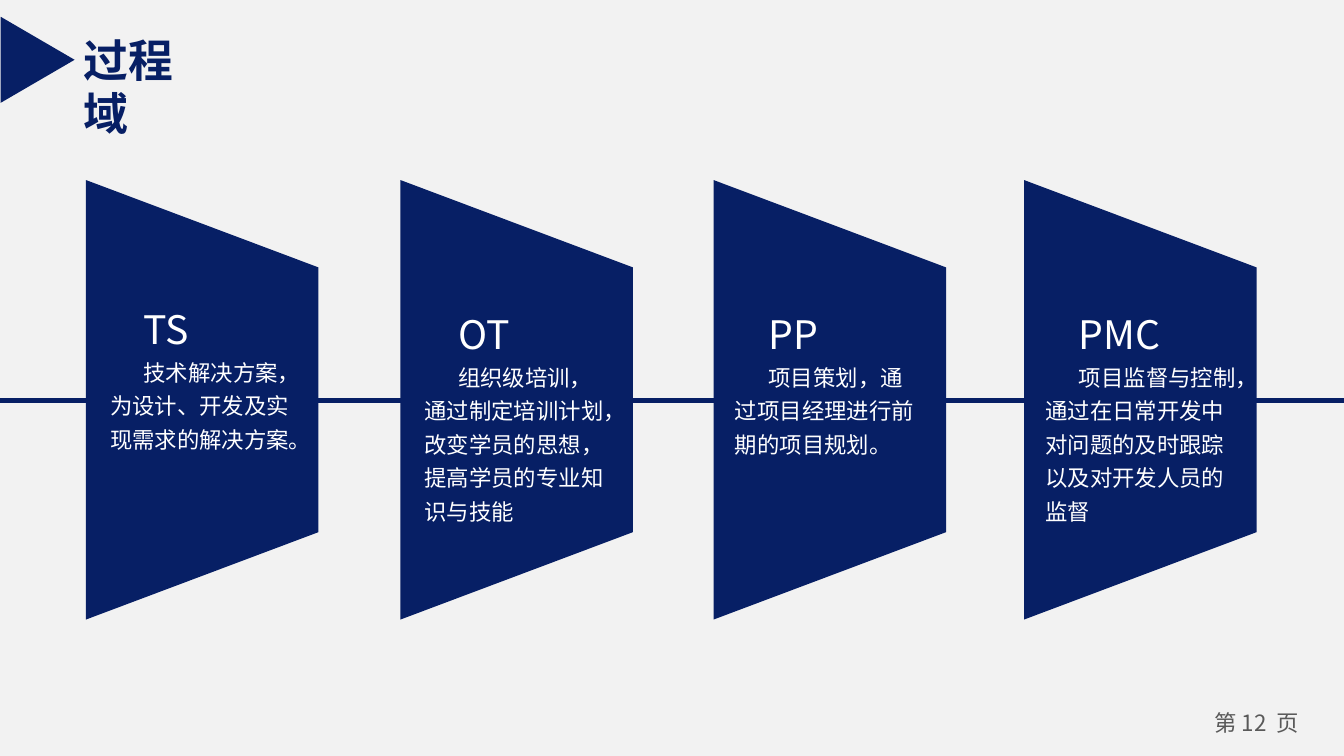
from pptx import Presentation
from pptx.dml.color import RGBColor
from pptx.enum.shapes import MSO_CONNECTOR, MSO_SHAPE
from pptx.enum.text import MSO_ANCHOR, PP_ALIGN
from pptx.oxml.ns import qn
from pptx.util import Inches, Pt
from lxml.etree import SubElement

NAVY = RGBColor(0x07, 0x1F, 0x65)
WHITE = RGBColor(0xFF, 0xFF, 0xFF)
GREY = RGBColor(0x59, 0x59, 0x59)
PALE = RGBColor(0xF2, 0xF2, 0xF2)
BODY_FONT = "Noto Sans CJK SC"

# Content
TITLE = "过程域"
PAGE_LABEL = "第 12  页"
# panel left, text box (left, top, width, height), heading spacing, heading, description
PROCESS_AREAS = [
    (0.64, (0.72, 2.22, 1.58, 1.21), 1.0, "TS",
     "技术解决方案，为设计、开发及实现需求的解决方案。"),
    (2.98, (3.06, 2.17, 1.58, 1.8), 1.25, "OT",
     "组织级培训，通过制定培训计划，改变学员的思想，提高学员的专业知识与技能"),
    (5.31, (5.37, 2.17, 1.61, 1.3), 1.25, "PP",
     "项目策划，通过项目经理进行前期的项目规划。"),
    (7.62, (7.68, 2.17, 1.64, 1.8), 1.25, "PMC",
     "项目监督与控制，通过在日常开发中对问题的及时跟踪以及对开发人员的监督"),
]

# Geometry: a 16:9 slide and four equal panels
SLIDE_WIDTH = Inches(10)
SLIDE_HEIGHT = SLIDE_WIDTH * 9 // 16
PANEL_TOP, PANEL_WIDTH, PANEL_HEIGHT, PANEL_SLANT = 1.34, 1.73, 3.27, 0.65
LINE_Y = Inches(2.98)
FIRST_LINE_INDENT = Inches(0.25)


def place(shape, *box):
    for name, value in zip(("left", "top", "width", "height"), box):
        setattr(shape, name, Inches(value))


def set_margins(frame, horizontal, vertical):
    frame.margin_left = frame.margin_right = Inches(horizontal)
    frame.margin_top = frame.margin_bottom = Inches(vertical)


def write(paragraph, text, typeface, color, size, bold=False):
    run = paragraph.add_run()
    run.text = text
    run.font.color.rgb = color
    for name, value in {"name": typeface, "size": Pt(size), "bold": bold}.items():
        setattr(run.font, name, value)
    SubElement(run.font._element, qn("a:ea")).set("typeface", typeface)


def fill_solid(shape):
    shape.shadow.inherit = False
    shape.fill.solid()
    shape.fill.fore_color.rgb = NAVY
    shape.line.fill.background()


def add_panel(slide, left, text_box, heading_spacing, heading, description):
    group = slide.shapes.add_group_shape()
    right, bottom = left + PANEL_WIDTH, PANEL_TOP + PANEL_HEIGHT
    corners = [(left, PANEL_TOP), (right, PANEL_TOP + PANEL_SLANT),
               (right, bottom - PANEL_SLANT)]
    builder = group.shapes.build_freeform(Inches(left), Inches(bottom))
    builder.add_line_segments([(Inches(x), Inches(y)) for x, y in corners])
    fill_solid(builder.convert_to_shape())

    frame = group.shapes.add_textbox(*map(Inches, text_box)).text_frame
    frame.word_wrap = True
    lines = [(heading, 21, heading_spacing), (description, 12, 1.25)]
    for index, (text, size, spacing) in enumerate(lines):
        paragraph = frame.add_paragraph() if index else frame.paragraphs[0]
        paragraph.line_spacing = spacing
        paragraph._p.get_or_add_pPr().set("indent", str(FIRST_LINE_INDENT))
        write(paragraph, text, BODY_FONT, WHITE, size)


def main():
    presentation = Presentation()
    presentation.slide_width, presentation.slide_height = SLIDE_WIDTH, SLIDE_HEIGHT
    slide = presentation.slides.add_slide(presentation.slide_layouts[5])
    slide.background.fill.solid()
    slide.background.fill.fore_color.rgb = PALE

    # Title, narrow enough to break over two lines
    title = slide.shapes.title
    place(title, 0.52, 0.19, 1.18, 0.5)
    frame = title.text_frame
    frame.word_wrap = True
    frame.vertical_anchor = MSO_ANCHOR.TOP
    set_margins(frame, 0.1, 0.05)
    frame.paragraphs[0].alignment = PP_ALIGN.LEFT
    write(frame.paragraphs[0], TITLE, "Arial", NAVY, 24, bold=True)

    # Page number
    page = slide.shapes.add_textbox(*map(Inches, (8.9, 5.24, 0.9, 0.3)))
    set_margins(page.text_frame, 0.07, 0.04)
    page.text_frame.paragraphs[0].alignment = PP_ALIGN.CENTER
    write(page.text_frame.paragraphs[0], PAGE_LABEL, BODY_FONT, GREY, 12)

    # Line running behind the panels
    line = slide.shapes.add_connector(
        MSO_CONNECTOR.STRAIGHT, 0, LINE_Y, SLIDE_WIDTH, LINE_Y)
    line.line.color.rgb = NAVY
    line.line.width = Pt(3)
    SubElement(line._element.spPr, qn("a:effectLst"))

    # Process area panels
    for area in PROCESS_AREAS:
        add_panel(slide, *area)

    # Title marker
    marker = slide.shapes.add_shape(
        MSO_SHAPE.ISOSCELES_TRIANGLE, *map(Inches, (-0.04, 0.17, 0.64, 0.55)))
    marker.rotation = 90
    fill_solid(marker)

    presentation.save("out.pptx")


if __name__ == "__main__":
    main()
